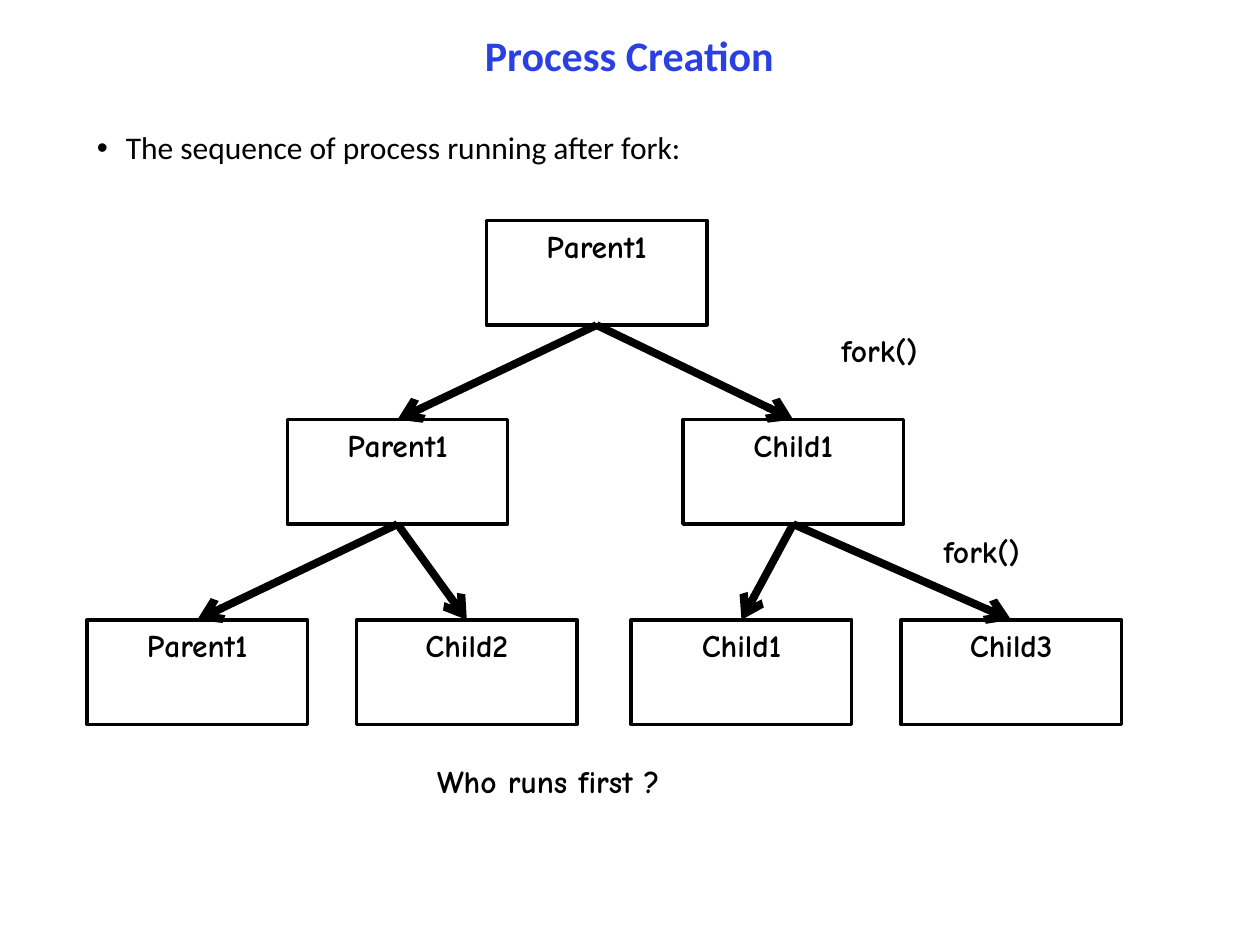
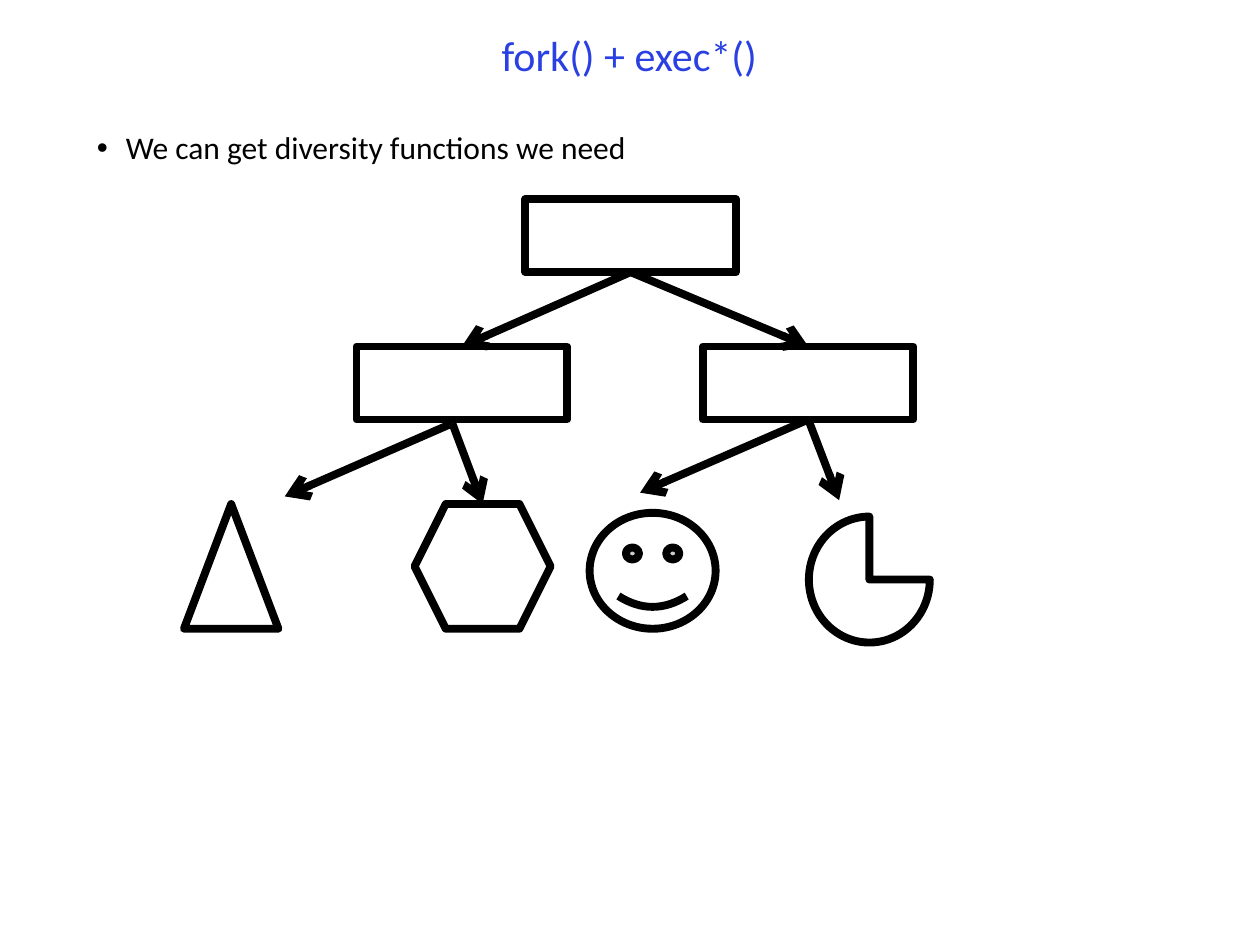
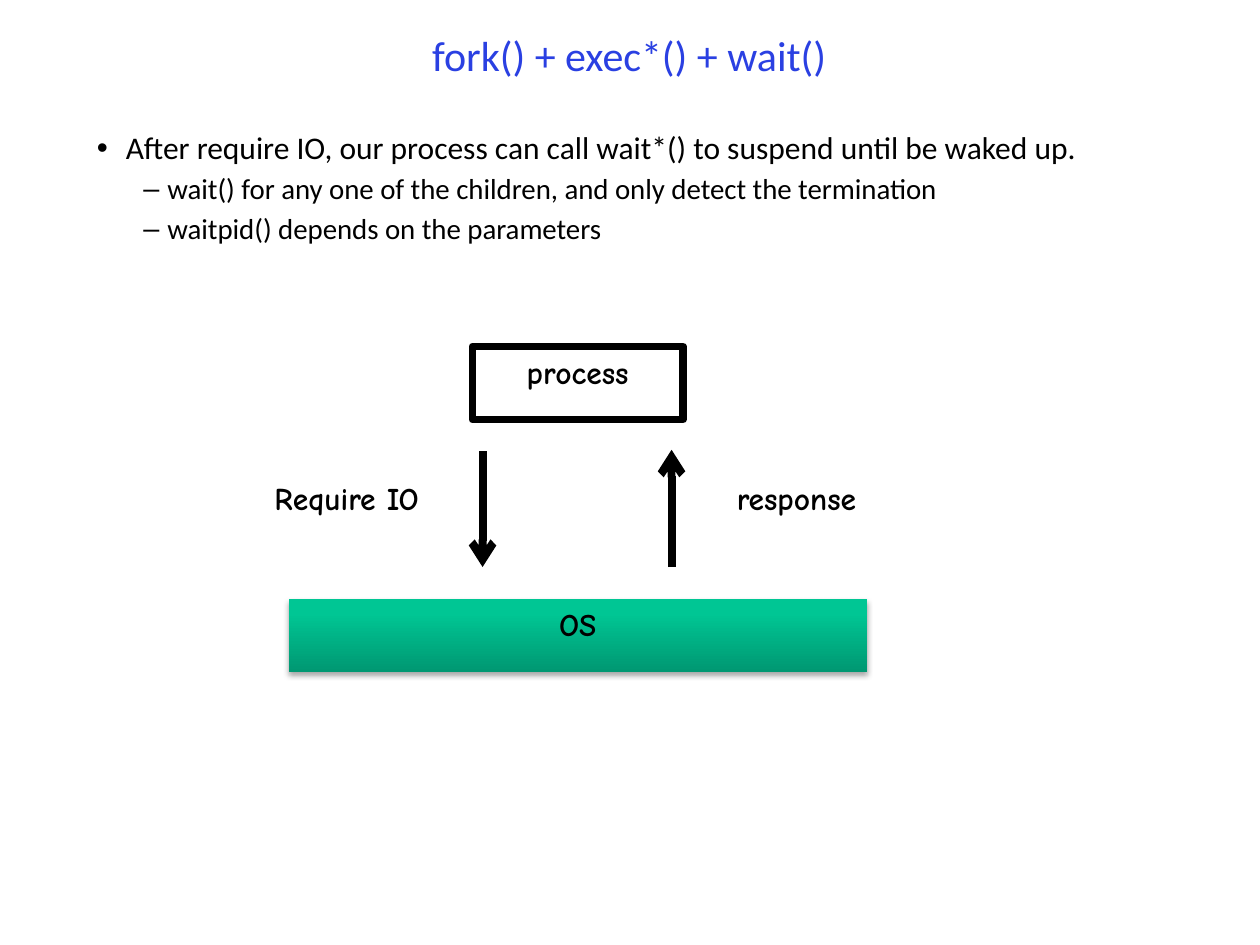
from copy import deepcopy

from lxml.etree import SubElement
from pptx import Presentation
from pptx.dml.color import RGBColor
from pptx.enum.shapes import MSO_CONNECTOR, MSO_SHAPE as SHAPE
from pptx.enum.text import MSO_ANCHOR, MSO_AUTO_SIZE, PP_ALIGN
from pptx.oxml.ns import qn
from pptx.util import Inches, Pt

BLACK = RGBColor(0x00, 0x00, 0x00)
WHITE = RGBColor(0xFF, 0xFF, 0xFF)
TITLE_BLUE = RGBColor(0x2A, 0x40, 0xE2)
OS_GRADIENT = [
    (0, RGBColor(0x00, 0x98, 0x72)),
    (0.8, RGBColor(0x00, 0xC6, 0x94)),
    (1, RGBColor(0x00, 0xC7, 0x95)),
]
BODY_FONT = "Calibri"
LABEL_FONT = "Comic Neue"
THICK = 4.5
BOTTOM, TOP = 2, 0

# Per level: bullet, text indent, hanging indent, text size
BULLET_LEVELS = [("•", 0.23, 0.23, 18), ("–", 0.56, 0.19, 16.5)]

SLIDES = [
    ("Process Creation", True, [(0, "The sequence of process running after fork:")]),
    ("fork() + exec*()", False, [(0, "We can get diversity functions we need")]),
    ("fork() + exec*() + wait()", False, [
        (0, "After require IO, our process can call wait*() to suspend until be waked up."),
        (1, "wait() for any one of the children, and only detect the termination"),
        (1, "waitpid() depends on the parameters"),
    ]),
]


def write_label(shape, text, alignment):
    paragraph = shape.text_frame.paragraphs[0]
    paragraph.alignment = alignment
    run = paragraph.add_run()
    run.text = text
    run.font.name = LABEL_FONT
    run.font.size = Pt(18)
    run.font.bold = True
    run.font.color.rgb = BLACK


def add_node(slide, kind, left, top, width, height, line_width=THICK, text=None):
    """Add a white shape with a black outline and an optional label at its top."""
    node = slide.shapes.add_shape(
        kind, Inches(left), Inches(top), Inches(width), Inches(height))
    node.shadow.inherit = False
    node.fill.solid()
    node.fill.fore_color.rgb = WHITE
    node.line.color.rgb = BLACK
    node.line.width = Pt(line_width)
    node.text_frame.vertical_anchor = MSO_ANCHOR.TOP
    if text:
        write_label(node, text, PP_ALIGN.CENTER)
    return node


presentation = Presentation()
presentation.slide_width = Inches(10)
presentation.slide_height = Inches(7.5)

# Titles and bullets
for title_text, bold, bullets in SLIDES:
    slide = presentation.slides.add_slide(presentation.slide_layouts[5])
    title = slide.shapes.title
    title.left, title.top = Inches(1.08), Inches(0.17)
    title.width, title.height = Inches(7.83), Inches(0.58)
    title.text_frame.auto_size = MSO_AUTO_SIZE.NONE
    title.text_frame.vertical_anchor = MSO_ANCHOR.MIDDLE
    paragraph = title.text_frame.paragraphs[0]
    paragraph.alignment = PP_ALIGN.CENTER
    paragraph.line_spacing = 0.9
    run = paragraph.add_run()
    run.text = title_text
    run.font.name = BODY_FONT
    run.font.size = Pt(24)
    run.font.bold = bold
    run.font.color.rgb = TITLE_BLUE

    body = slide.shapes.add_textbox(
        Inches(0.67), Inches(1), Inches(8.67), Inches(5.58)).text_frame
    body.word_wrap = True
    for index, (level, text) in enumerate(bullets):
        bullet, indent, hanging, size = BULLET_LEVELS[level]
        paragraph = body.add_paragraph() if index else body.paragraphs[0]
        properties = paragraph._p.get_or_add_pPr()
        properties.set("marL", str(Inches(indent)))
        properties.set("indent", str(-Inches(hanging)))
        SubElement(properties, qn("a:buFont"), typeface="Arial")
        SubElement(properties, qn("a:buChar"), char=bullet)
        paragraph.level = level
        paragraph.line_spacing = 0.9
        if index:
            paragraph.space_before = Pt(5)
        run = paragraph.add_run()
        run.text = text
        run.font.name = BODY_FONT
        run.font.size = Pt(size)
        run.font.color.rgb = BLACK

creation_slide, exec_slide, wait_slide = presentation.slides

# Process tree: each row is its top and the label and left of every process
process_rows = [
    (1.75, [("Parent1", 3.86)]),
    (3.33, [("Parent1", 2.28), ("Child1", 5.42)]),
    (4.92, [("Parent1", 0.69), ("Child2", 2.83), ("Child1", 5.01), ("Child3", 7.15)]),
]
processes = [
    add_node(creation_slide, SHAPE.RECTANGLE, left, top, 1.75, 0.83, 2, text)
    for top, row in process_rows for text, left in row
]

# Programs that the forked processes turn into
root, left_fork, right_fork = [
    add_node(exec_slide, SHAPE.RECTANGLE, left, top, 1.67, 0.58)
    for left, top in [(4.17, 1.58), (2.83, 2.75), (5.58, 2.75)]
]
for kind, left, top, width, height in [
    (SHAPE.ISOSCELES_TRIANGLE, 1.46, 4, 0.75, 0.99),
    (SHAPE.HEXAGON, 3.29, 4, 1.08, 0.99),
    (SHAPE.SMILEY_FACE, 4.68, 4.07, 1, 0.92),
    (SHAPE.PIE, 6.42, 4.1, 0.96, 1),
]:
    add_node(exec_slide, kind, left, top, width, height)

# Process and operating system
add_node(wait_slide, SHAPE.RECTANGLE, 3.75, 2.75, 1.67, 0.58, text="process")
os_bar = add_node(wait_slide, SHAPE.RECTANGLE, 2.29, 4.75, 4.59, 0.58, text="OS")
os_bar.line.fill.background()
os_bar.fill.gradient()
os_bar.fill.gradient_angle = 90
stop_list = os_bar._element.spPr.find(f".//{qn('a:gsLst')}")
stop_list.append(deepcopy(stop_list[0]))
for stop, (position, color) in zip(os_bar.fill.gradient_stops, OS_GRADIENT):
    stop.position = position
    stop.color.rgb = color
shadow = SubElement(
    os_bar._element.spPr.find(qn("a:effectLst")), qn("a:outerShdw"),
    blurRad=str(Pt(3.1)), dist=str(Pt(1.8)), dir="5400000", rotWithShape="0")
shadow_color = SubElement(shadow, qn("a:srgbClr"), val=str(BLACK))
SubElement(shadow_color, qn("a:alpha"), val="35000")

# Arrows: each end is a shape to join or a point
arrows = [
    (creation_slide, processes[(child - 1) // 2], processes[child])
    for child in range(1, len(processes))
] + [
    (exec_slide, root, left_fork),
    (exec_slide, root, right_fork),
    (exec_slide, (3.59, 3.36), (2.26, 3.94)),
    (exec_slide, (3.59, 3.36), (3.83, 4)),
    (exec_slide, right_fork, (5.08, 3.91)),
    (exec_slide, right_fork, (6.66, 3.97)),
    (wait_slide, (3.83, 3.58), (3.83, 4.5)),
    (wait_slide, (5.33, 4.5), (5.33, 3.57)),
]
for slide, begin, end in arrows:
    begin_point = begin if isinstance(begin, tuple) else (0, 0)
    end_point = end if isinstance(end, tuple) else (0, 0)
    arrow = slide.shapes.add_connector(
        MSO_CONNECTOR.STRAIGHT, *map(Inches, begin_point + end_point))
    if begin is not begin_point:
        arrow.begin_connect(begin, BOTTOM)
    if end is not end_point:
        arrow.end_connect(end, TOP)
    arrow.line.color.rgb = BLACK
    arrow.line.width = Pt(THICK)
    SubElement(arrow.line._get_or_add_ln(), qn("a:tailEnd"), type="arrow")
    SubElement(arrow._element.spPr, qn("a:effectLst"))

# Free labels
for slide, text, left, top, width in [
    (creation_slide, "fork()", 6.58, 2.58, 1.67),
    (creation_slide, "fork()", 7.39, 4.17, 1.67),
    (creation_slide, "Who runs first ?", 3.37, 6, 2.61),
    (wait_slide, "Require IO", 2.08, 3.75, 1.55),
    (wait_slide, "response", 5.75, 3.75, 1.25),
]:
    label = slide.shapes.add_textbox(
        Inches(left), Inches(top), Inches(width), Inches(0.4))
    label.text_frame.word_wrap = True
    label.text_frame.auto_size = MSO_AUTO_SIZE.SHAPE_TO_FIT_TEXT
    write_label(label, text, PP_ALIGN.LEFT)

presentation.save("out.pptx")
